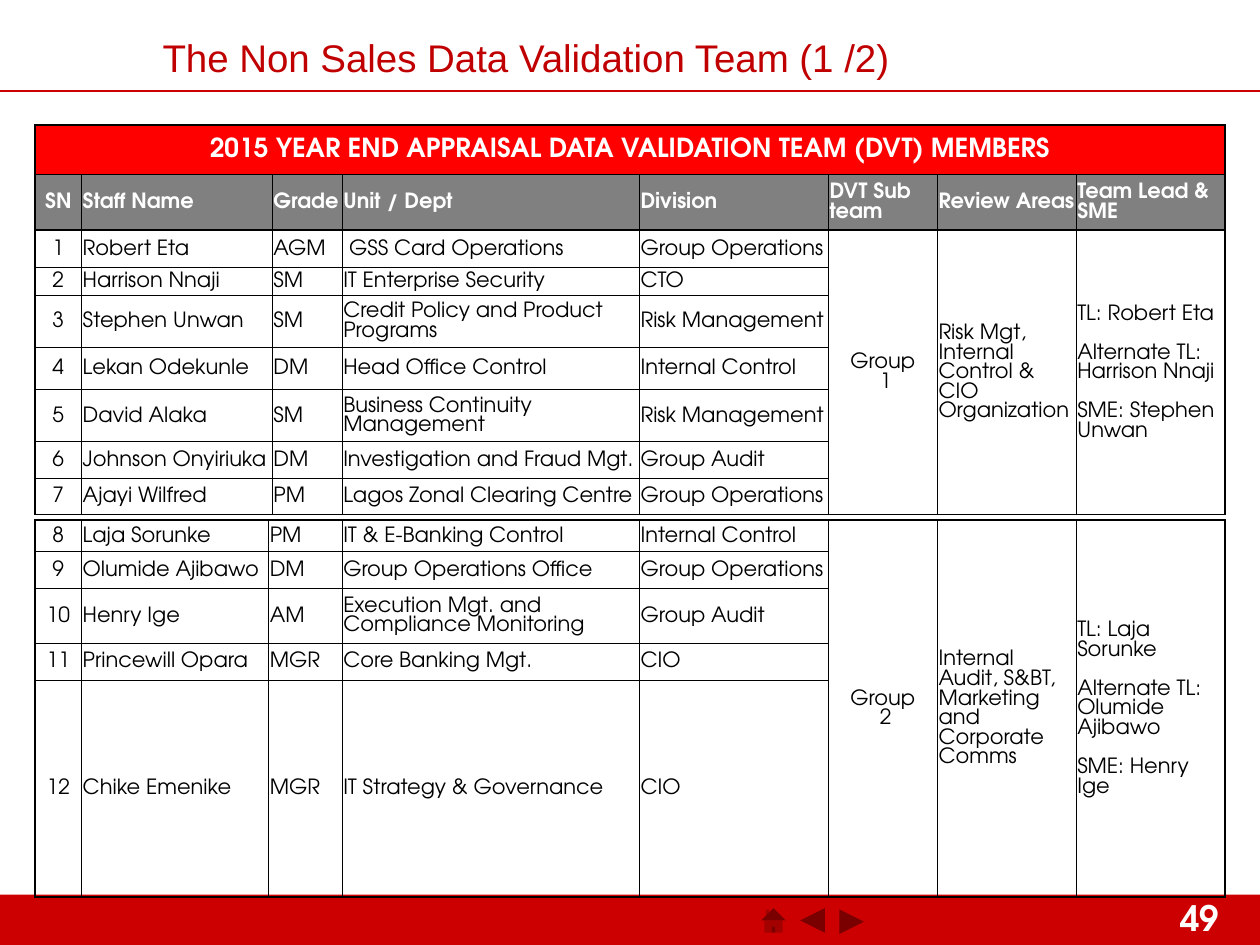
from dataclasses import dataclass

from lxml import etree
from pptx import Presentation
from pptx.dml.color import RGBColor
from pptx.enum import shapes, text
from pptx.oxml.ns import qn
from pptx.util import Pt

HUE = {"bar": "CC0000", "title": "C00000", "band": "FF0000",
       "head": "808080", "ink": "000000", "white": "FFFFFF"}
FACE = "TeX Gyre Adventor"
MID, LEFT = text.PP_ALIGN.CENTER, text.PP_ALIGN.LEFT
THIN, THICK = 0.5, 1


@dataclass
class Grid:
    top: float
    cols: list[float]
    rows: list[float]
    cells: list[list[str]]
    heads: int = 0  # heading rows: a banner, then the column names


@dataclass
class Button:
    kind: shapes.MSO_SHAPE
    left: float
    top: float


TEAM1 = Grid(71.3, [26.6, 109, 39.9, 169.9, 108, 62.3, 79.3, 85],
             [28.5, 31.7, 21.3, 16, 29.8, 24, 30, 21, 20.6], [
    ["2015 YEAR END APPRAISAL DATA VALIDATION TEAM (DVT) MEMBERS"],
    ["SN", "Staff Name", "Grade", "Unit / Dept", "Division",
     "DVT Sub team", "Review Areas", "Team Lead & SME"],
    ["1", "Robert Eta", "AGM", " GSS Card Operations", "Group Operations",
     "Group\n 1", "Risk Mgt, Internal Control & CIO Organization",
     "TL: Robert Eta\nAlternate TL: Harrison Nnaji\nSME: Stephen Unwan"],
    ["2", "Harrison Nnaji", "SM", "IT Enterprise Security", "CTO"],
    ["3", "Stephen Unwan", "SM", "Credit Policy and Product Programs",
     "Risk Management"],
    ["4", "Lekan Odekunle", "DM", "Head Office Control", "Internal Control"],
    ["5", "David Alaka", "SM", "Business Continuity Management",
     "Risk Management"],
    ["6", "Johnson Onyiriuka", "DM", "Investigation and Fraud Mgt.",
     "Group Audit"],
    ["7", "Ajayi Wilfred", "PM", "Lagos Zonal Clearing Centre",
     "Group Operations"],
], heads=2)

TEAM2 = Grid(297.2, [26.6, 106.9, 42, 169.9, 108, 62.3, 79.3, 85],
             [18, 21, 31.4, 21, 98.5], [
    ["8", "Laja Sorunke", "PM", "IT & E-Banking Control", "Internal Control",
     "Group\n 2", "Internal Audit, S&BT, Marketing and Corporate Comms",
     "TL: Laja Sorunke\nAlternate TL: Olumide Ajibawo\nSME: Henry Ige"],
    ["9", "Olumide Ajibawo", "DM", "Group Operations Office",
     "Group Operations"],
    ["10", "Henry Ige", "AM", "Execution Mgt. and Compliance Monitoring",
     "Group Audit"],
    ["11", "Princewill Opara", "MGR", "Core Banking Mgt.", "CIO"],
    ["12", "Chike Emenike", "MGR", "IT Strategy & Governance", "CIO"],
])

BUTTONS = [
    Button(shapes.MSO_SHAPE.ACTION_BUTTON_BACK_OR_PREVIOUS, 477.4, 514.8),
    Button(shapes.MSO_SHAPE.ACTION_BUTTON_FORWARD_OR_NEXT, 455, 514.1),
    Button(shapes.MSO_SHAPE.ACTION_BUTTON_CUSTOM, 501.1, 514.8),
    Button(shapes.MSO_SHAPE.ACTION_BUTTON_HOME, 432.7, 514.1),
]


def rgb(name: str) -> RGBColor:
    return RGBColor.from_string(HUE[name])


def write(frame, words: str, *, size=12, face=FACE, hue="ink", bold=False,
          align=LEFT, gap=0) -> None:
    """Fill a text frame, one paragraph a line, with gap points between."""
    frame.word_wrap = True
    for i, line in enumerate(words.split("\n")):
        para = frame.add_paragraph() if i else frame.paragraphs[0]
        para.alignment = align
        para.space_before = Pt(gap if i else 0)
        run = para.add_run()
        run.text = line
        font = run.font
        font.size, font.name, font.bold = Pt(size), face, bold
        font.color.rgb = rgb(hue)


def edge(cell, side: str, width: float) -> None:
    props = cell._tc.get_or_add_tcPr()
    line = etree.SubElement(props, qn(f"a:ln{side}"), w=str(Pt(width)))
    fill = etree.SubElement(line, qn("a:solidFill"))
    etree.SubElement(fill, qn("a:srgbClr"), val=HUE["ink"])


def frame_cell(cell, row: int, col: int, grid: Grid) -> None:
    """Draw thick lines round the table and its headings, thin ones inside."""
    last = row + (cell.span_height if cell.is_merge_origin else 1)
    right = col + (cell.span_width if cell.is_merge_origin else 1)
    for side, thick in (("L", col == 0), ("R", right == len(grid.cols)),
                        ("T", row <= grid.heads),
                        ("B", last <= grid.heads or last == len(grid.rows))):
        edge(cell, side, THICK if thick else THIN)


def draw_grid(slide, grid: Grid) -> None:
    nrow, ncol = len(grid.rows), len(grid.cols)
    table = slide.shapes.add_table(
        nrow, ncol, Pt(20), Pt(grid.top),
        Pt(sum(grid.cols)), Pt(sum(grid.rows))).table
    table.first_row = table.horz_banding = False
    for col, width in zip(table.columns, grid.cols):
        col.width = Pt(width)
    for row, height in zip(table.rows, grid.rows):
        row.height = Pt(height)
    if grid.heads:
        table.cell(0, 0).merge(table.cell(0, ncol - 1))
    for c in range(5, ncol):
        table.cell(grid.heads, c).merge(table.cell(nrow - 1, c))

    for r in range(nrow):
        for c in range(ncol):
            cell = table.cell(r, c)
            frame_cell(cell, r, c, grid)
            cell.margin_left = cell.margin_right = cell.margin_top = Pt(0.7)
            cell.margin_bottom = 0
            cell.vertical_anchor = text.MSO_ANCHOR.MIDDLE
            head, banner = r < grid.heads, r == 0 and grid.heads > 0
            if head:
                cell.fill.solid()
                cell.fill.fore_color.rgb = rgb("band" if banner else "head")
            else:
                cell.fill.background()
            if c < len(grid.cells[r]):
                centred = c == 0 or (c == 5 and not head)
                write(cell.text_frame, grid.cells[r][c],
                      size=15 if banner else 12, bold=head,
                      hue="white" if head else "ink",
                      align=MID if centred else LEFT,
                      gap=11.2 if c == 7 else 0)


def add_block(slide, kind, left, top, width, height):
    block = slide.shapes.add_shape(kind, Pt(left), Pt(top),
                                   Pt(width), Pt(height))
    block.shadow.inherit = False
    block.fill.solid()
    block.fill.fore_color.rgb = rgb("bar")
    block.line.fill.background()
    return block


def draw_base(slide) -> None:
    """Draw the footer bar with its buttons and number, and the top rule."""
    add_block(slide, shapes.MSO_SHAPE.RECTANGLE, 0, 511.2, 720, 28.8)
    page = slide.shapes.add_textbox(Pt(667.4), Pt(509), Pt(52.6), Pt(31))
    write(page.text_frame, "49", size=20, hue="white", bold=True)
    for b in BUTTONS:
        block = add_block(slide, b.kind, b.left, b.top, 18.7, 23.8)
        block._element.spPr.find(qn("a:xfrm")).set("flipH", "1")
    rule = slide.shapes.add_connector(shapes.MSO_CONNECTOR.STRAIGHT,
                                      0, Pt(52), Pt(720), Pt(52))
    rule.line.color.rgb = rgb("bar")
    rule.line.width = Pt(0.75)
    etree.SubElement(rule._element.spPr, qn("a:effectLst"))


def main() -> None:
    deck = Presentation()
    deck.slide_width, deck.slide_height = Pt(720), Pt(540)
    slide = deck.slides.add_slide(deck.slide_layouts[5])
    draw_base(slide)
    title = slide.shapes.title
    title.left, title.top = Pt(8.6), Pt(15.8)
    title.width, title.height = Pt(584), Pt(21.6)
    title.text_frame.vertical_anchor = text.MSO_ANCHOR.TOP
    title.text_frame.auto_size = text.MSO_AUTO_SIZE.NONE
    write(title.text_frame, "The Non Sales Data Validation Team (1 /2)",
          size=22, face="Arial", hue="title", align=MID)
    for grid in (TEAM1, TEAM2):
        draw_grid(slide, grid)
    deck.save("out.pptx")


if __name__ == "__main__":
    main()
